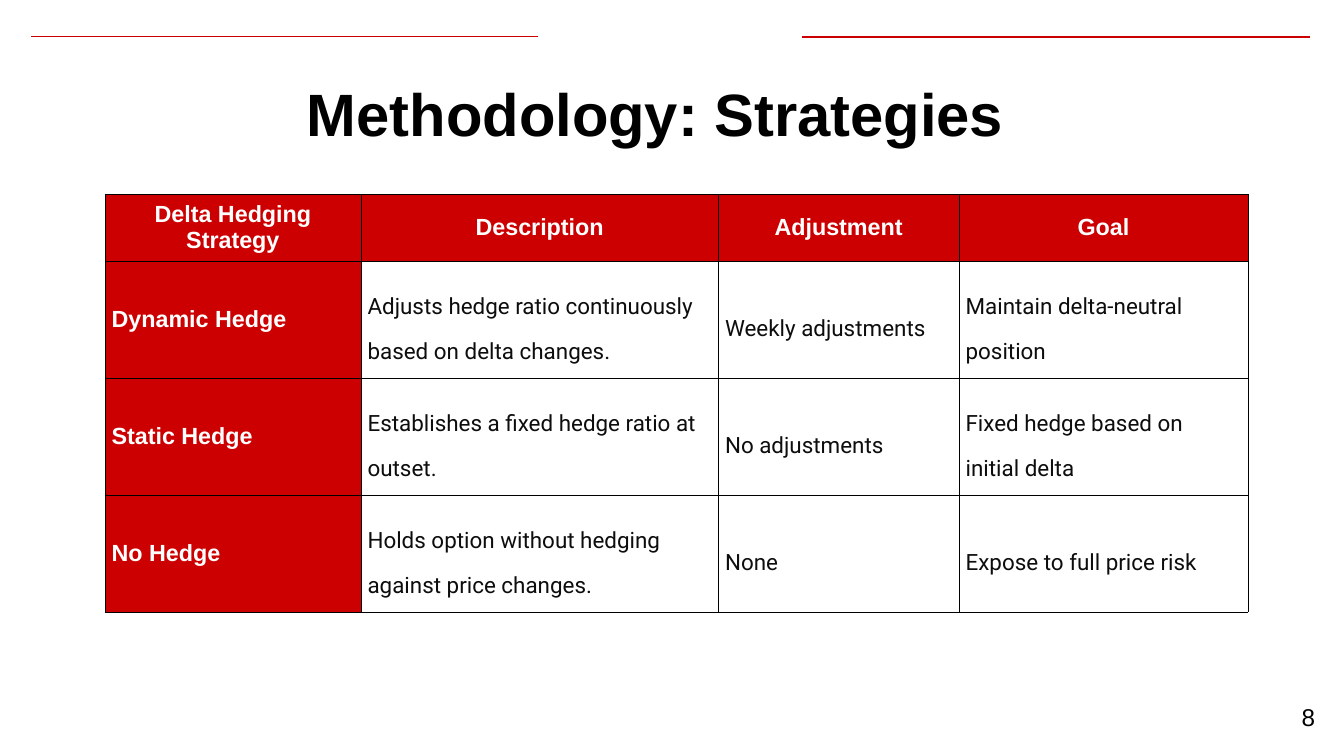
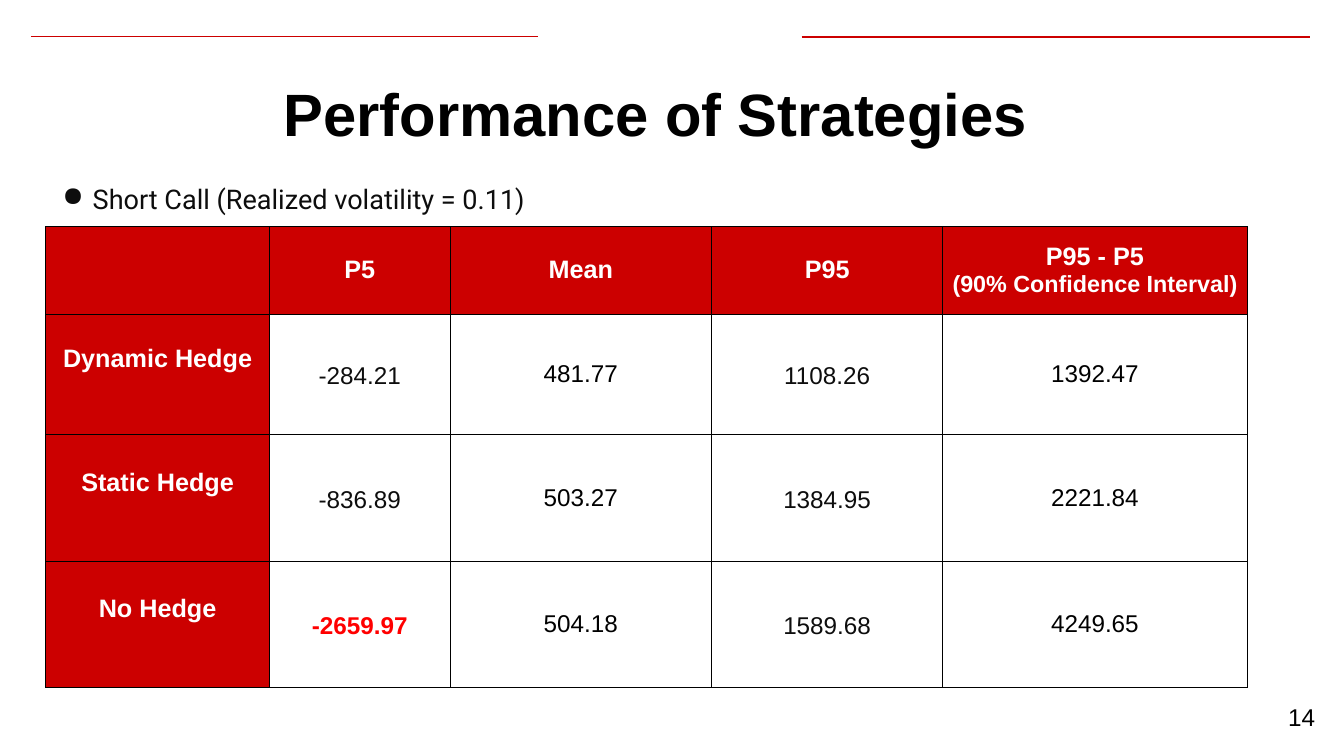
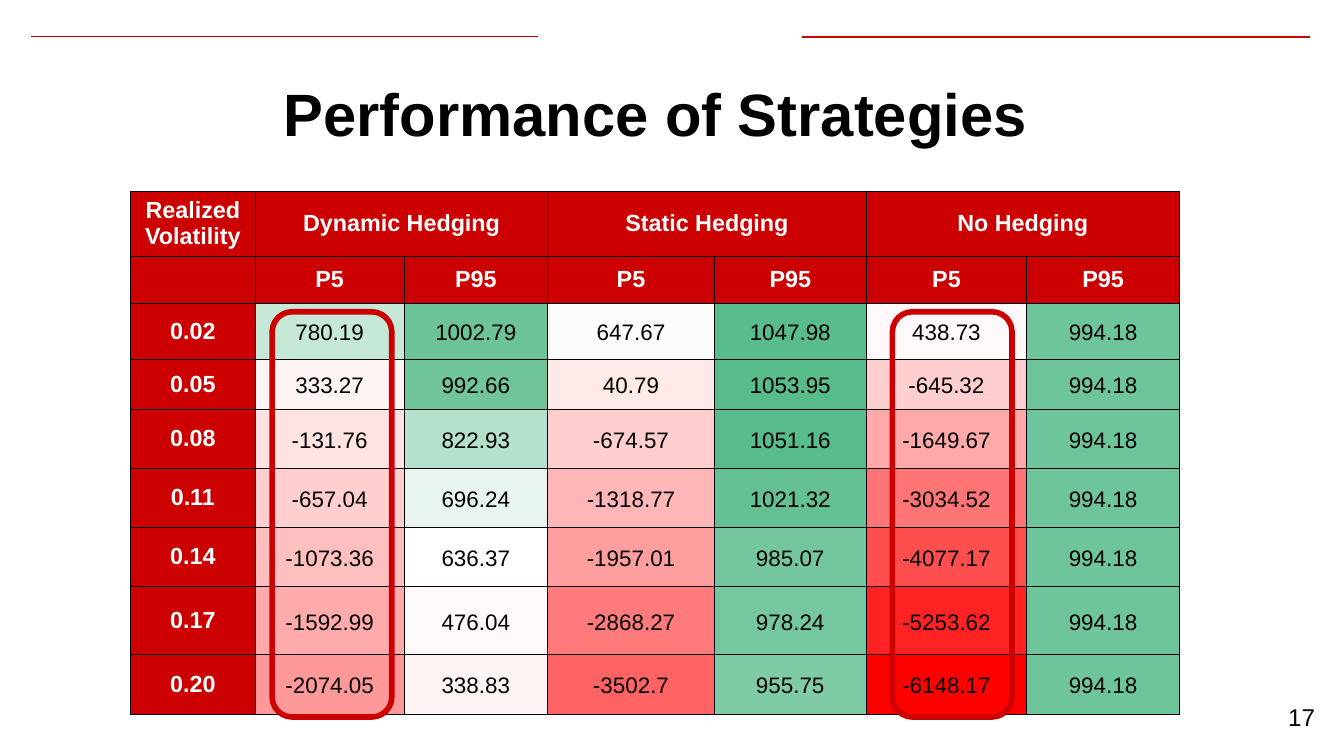
from dataclasses import dataclass, replace

from lxml import etree
from pptx import Presentation
from pptx.dml.color import RGBColor
from pptx.enum import shapes, text
from pptx.oxml import ns
from pptx.util import Inches, Pt


@dataclass(frozen=True)
class Theme:
    red: str = "CC0000"
    alert: str = "FF0000"
    green: str = "57BB8A"
    white: str = "FFFFFF"
    black: str = "000000"
    ink: str = "0D0D0D"
    sans: str = "Arial"
    body: str = "Roboto"
    title_size: int = 64
    bullet_size: int = 29
    large_size: int = 27
    number_size: int = 26
    header_size: int = 25
    cell_size: int = 24
    rule_width: float = 1.5
    border_width: float = 0.75
    marker_width: int = 6


THEME = Theme()
CENTER = text.PP_ALIGN.CENTER
LEFT = text.PP_ALIGN.LEFT
RIGHT = text.PP_ALIGN.RIGHT
EVEN = (0.1, 0.1, 0.1, 0.1)
TIGHT = (0.03, 0.02, 0.03, 0.02)
BOX = (0.2, 0.2, 0.2, 0.2)


@dataclass(frozen=True)
class Style:
    size: int
    color: str = THEME.black
    font: str = THEME.sans
    bold: bool = False
    align: text.PP_ALIGN = CENTER
    spacing: float = 1.0
    insets: tuple = EVEN
    fill: str = None


HEADER = Style(THEME.header_size, THEME.white, bold=True, fill=THEME.red)
LARGE_HEADER = replace(HEADER, size=THEME.large_size)
RAISED_LABEL = replace(LARGE_HEADER, insets=(0.1, 0.1, 0.1, 0.55))
SIDE_LABEL = replace(HEADER, align=LEFT)
DESCRIPTION = Style(THEME.cell_size, THEME.ink, THEME.body, align=LEFT, spacing=1.71)
FIGURE = Style(THEME.number_size, fill=THEME.white)
PERCENTILE = replace(FIGURE, color=THEME.ink, spacing=1.15, insets=TIGHT)
WORST = replace(PERCENTILE, color=THEME.alert, bold=True)
HEAT = Style(THEME.cell_size, spacing=1.15, insets=TIGHT)
TITLE = Style(THEME.title_size, bold=True, insets=BOX)
PAGE_NUMBER = Style(THEME.number_size, align=RIGHT, insets=BOX)
BULLET = Style(THEME.bullet_size, THEME.ink, THEME.body, align=LEFT, spacing=1.15, insets=BOX)


def rgb(color):
    return RGBColor.from_string(color)


def set_insets(holder, insets):
    sides = ("margin_left", "margin_top", "margin_right", "margin_bottom")
    for side, inset in zip(sides, insets):
        setattr(holder, side, Inches(inset))


def write(frame, lines, style, sizes=()):
    for index, line in enumerate(lines):
        para = frame.paragraphs[0] if index == 0 else frame.add_paragraph()
        para.alignment = style.align
        para.line_spacing = style.spacing
        span = para.add_run()
        span.text = line
        span.font.name = style.font
        span.font.size = Pt(sizes[index] if sizes else style.size)
        span.font.bold = style.bold
        span.font.color.rgb = rgb(style.color)


def fill_frame(box, content, style, anchor):
    frame = box.text_frame
    frame.word_wrap = True
    frame.auto_size = text.MSO_AUTO_SIZE.NONE
    frame.vertical_anchor = anchor
    set_insets(frame, style.insets)
    write(frame, [content], style)


def add_box(page, area, content, style, anchor):
    box = page.shapes.add_textbox(*map(Inches, area))
    fill_frame(box, content, style, anchor)
    return box


def add_rule(page, left, right, top):
    ends = map(Inches, (left, top, right, top))
    rule = page.shapes.add_connector(shapes.MSO_CONNECTOR.STRAIGHT, *ends)
    rule.line.color.rgb = rgb(THEME.red)
    rule.line.width = Pt(THEME.rule_width)
    etree.SubElement(rule._element.spPr, ns.qn("a:effectLst"))


def add_page(deck, title, number):
    page = deck.slides.add_slide(deck.slide_layouts[5])
    add_rule(page, 0.46, 8.01, 0.54)
    add_rule(page, 11.93, 19.49, 0.55)
    heading = page.shapes.title
    heading.left, heading.top = Inches(0.43), Inches(0.94)
    heading.width, heading.height = Inches(18.64), Inches(1.37)
    fill_frame(heading, title, TITLE, text.MSO_ANCHOR.TOP)
    add_box(page, (18.57, 10.24, 1.2, 0.86), str(number), PAGE_NUMBER, text.MSO_ANCHOR.MIDDLE)
    return page


def add_bullet(page, area, content):
    box = add_box(page, area, content, BULLET, text.MSO_ANCHOR.TOP)
    para = box.text_frame.paragraphs[0]
    para.space_before = Pt(15)
    props = para._p.get_or_add_pPr()
    props.set("marL", str(Inches(0.5)))
    props.set("indent", str(Inches(-0.45)))
    etree.SubElement(props, ns.qn("a:buChar"), char="●")


def add_borders(cell):
    props = cell._tc.get_or_add_tcPr()
    for index, side in enumerate(("lnL", "lnR", "lnT", "lnB")):
        border = etree.Element(ns.qn(f"a:{side}"), w=str(Pt(THEME.border_width)))
        paint = etree.SubElement(border, ns.qn("a:solidFill"))
        etree.SubElement(paint, ns.qn("a:srgbClr"), val=THEME.black)
        props.insert(index, border)


def format_cell(cell, content, style, sizes=()):
    set_insets(cell, style.insets)
    cell.vertical_anchor = text.MSO_ANCHOR.MIDDLE
    if style.fill:
        cell.fill.solid()
        cell.fill.fore_color.rgb = rgb(style.fill)
    else:
        cell.fill.background()
    add_borders(cell)
    if content:
        write(cell.text_frame, content.split("\n"), style, sizes)


def add_grid(page, left, top, widths, heights, rows, style_of):
    area = map(Inches, (left, top, sum(widths), sum(heights)))
    grid = page.shapes.add_table(len(heights), len(widths), *area).table
    grid.first_row = grid.horz_banding = False
    for column, width in zip(grid.columns, widths):
        column.width = Inches(width)
    for line, height in zip(grid.rows, heights):
        line.height = Inches(height)
    for r, row in enumerate(rows):
        for c, content in enumerate(row):
            sizes = (THEME.large_size, THEME.header_size) if "(" in content else ()
            format_cell(grid.cell(r, c), content, style_of(r, c, content), sizes)
    return grid


def heat_color(value, low=-6148.17, middle=636.37, high=1053.95):
    end, color = (high, THEME.green) if value > middle else (low, THEME.alert)
    share = (value - middle) / (end - middle)
    return "".join(f"{round(255 + (part - 255) * share):02X}" for part in rgb(color))


def add_marker(page, left):
    area = map(Inches, (left, 4.64, 1.78, 6.03))
    marker = page.shapes.add_shape(shapes.MSO_SHAPE.ROUNDED_RECTANGLE, *area)
    marker.shadow.inherit = False
    marker.fill.background()
    marker.line.color.rgb = rgb(THEME.red)
    marker.line.width = Pt(THEME.marker_width)


def strategies_style(r, c, content):
    if r == 0:
        return HEADER
    return SIDE_LABEL if c == 0 else DESCRIPTION


def short_call_style(r, c, content):
    if r == 0:
        return LARGE_HEADER
    if c == 0:
        return RAISED_LABEL
    if content == "-2659.97":
        return WORST
    return PERCENTILE if c in (1, 3) else FIGURE


def volatility_style(r, c, content):
    if r < 2 or c == 0:
        return HEADER
    return replace(HEAT, fill=heat_color(float(content)))


def build_strategies(deck):
    page = add_page(deck, "Methodology: Strategies", 8)
    rows = [
        ["Delta Hedging Strategy", "Description", "Adjustment", "Goal"],
        ["Dynamic Hedge", "Adjusts hedge ratio continuously based on delta changes.",
         "Weekly adjustments", "Maintain delta-neutral position"],
        ["Static Hedge", "Establishes a fixed hedge ratio at outset.",
         "No adjustments", "Fixed hedge based on initial delta"],
        ["No Hedge", "Holds option without hedging against price changes.",
         "None", "Expose to full price risk"],
    ]
    add_grid(page, 1.56, 2.89, [3.81, 5.32, 3.58, 4.3], [1] + [1.74] * 3, rows, strategies_style)


def build_short_call(deck):
    page = add_page(deck, "Performance of Strategies", 14)
    rows = [
        ["", "P5", "Mean", "P95", "P95 - P5\n(90% Confidence Interval)"],
        ["Dynamic Hedge", "-284.21", "481.77", "1108.26", "1392.47"],
        ["Static Hedge", "-836.89", "503.27", "1384.95", "2221.84"],
        ["No Hedge", "-2659.97", "504.18", "1589.68", "4249.65"],
    ]
    widths = [3.33, 2.69, 3.89, 3.44, 4.53]
    add_grid(page, 0.68, 3.37, widths, [1.3, 1.8, 1.88, 1.88], rows, short_call_style)
    add_bullet(page, (0.68, 2.44, 18.64, 0.93), "Short Call (Realized volatility = 0.11)")


def build_volatility(deck):
    page = add_page(deck, "Performance of Strategies", 17)
    rows = [
        ["Realized\nVolatility", "Dynamic Hedging", "", "Static Hedging", "", "No Hedging", ""],
        [""] + ["P5", "P95"] * 3,
        ["0.02", "780.19", "1002.79", "647.67", "1047.98", "438.73", "994.18"],
        ["0.05", "333.27", "992.66", "40.79", "1053.95", "-645.32", "994.18"],
        ["0.08", "-131.76", "822.93", "-674.57", "1051.16", "-1649.67", "994.18"],
        ["0.11", "-657.04", "696.24", "-1318.77", "1021.32", "-3034.52", "994.18"],
        ["0.14", "-1073.36", "636.37", "-1957.01", "985.07", "-4077.17", "994.18"],
        ["0.17", "-1592.99", "476.04", "-2868.27", "978.24", "-5253.62", "994.18"],
        ["0.20", "-2074.05", "338.83", "-3502.7", "955.75", "-6148.17", "994.18"],
    ]
    widths = [1.86, 2.21, 2.14, 2.48, 2.26, 2.39, 2.27]
    heights = [0.96, 0.7, 0.83, 0.74, 0.88, 0.88, 0.88, 1.02, 0.88]
    grid = add_grid(page, 1.94, 2.84, widths, heights, rows, volatility_style)
    for column in (1, 3, 5):
        grid.cell(0, column).merge(grid.cell(0, column + 1))
    for left in (4.05, 13.28):
        add_marker(page, left)


def main():
    deck = Presentation()
    deck.slide_width, deck.slide_height = Inches(20), Inches(11.25)
    build_strategies(deck)
    build_short_call(deck)
    build_volatility(deck)
    deck.save("out.pptx")


if __name__ == "__main__":
    main()
